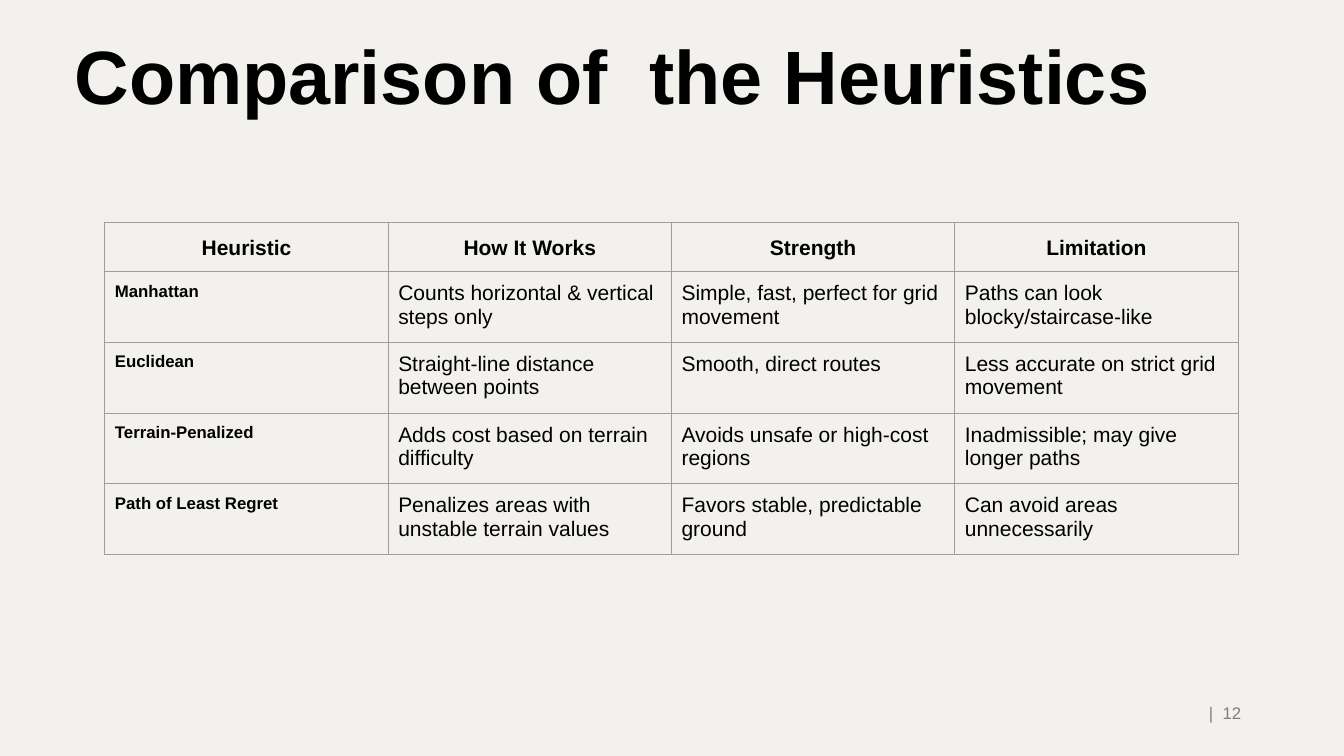
from dataclasses import dataclass

from lxml import etree
from pptx import Presentation
from pptx import util as u
from pptx.dml.color import RGBColor
from pptx.enum import text
from pptx.oxml.ns import qn


@dataclass(frozen=True)
class Theme:
    font: str = "Arial"
    background: str = "F2F1EE"
    ink: str = "000000"
    muted: str = "7F7F7F"
    border: str = "9E9E9E"
    title_size: int = 54
    body_size: int = 15
    small_size: int = 12
    border_width: float = 0.75


theme = Theme()


def write(frame, words, size, color=theme.ink, bold=False,
          align=text.PP_ALIGN.LEFT, spacing=1.0):
    frame.text = words
    paragraph = frame.paragraphs[0]
    paragraph.alignment = align
    paragraph.line_spacing = spacing
    font = paragraph.runs[0].font
    font.name, font.size, font.bold = theme.font, u.Pt(size), bold
    font.color.rgb = RGBColor.from_string(color)


def add_borders(cell):
    properties = cell._tc.get_or_add_tcPr()
    for position, side in enumerate(("a:lnL", "a:lnR", "a:lnT", "a:lnB")):
        line = etree.Element(qn(side), w=str(u.Pt(theme.border_width)))
        fill = etree.SubElement(line, qn("a:solidFill"))
        etree.SubElement(fill, qn("a:srgbClr"), val=theme.border)
        properties.insert(position, line)


# Slide and background
presentation = Presentation()
presentation.slide_width = u.Inches(13.33)
presentation.slide_height = u.Inches(7.5)
slide = presentation.slides.add_slide(presentation.slide_layouts[6])
slide.background.fill.solid()
slide.background.fill.fore_color.rgb = RGBColor.from_string(theme.background)

# Title
title = slide.shapes.add_textbox(
    u.Inches(0.64), u.Inches(-0.2), u.Inches(11.5), u.Inches(1.45))
title.text_frame.word_wrap = True
title.text_frame.vertical_anchor = text.MSO_ANCHOR.BOTTOM
write(title.text_frame, "Comparison of  the Heuristics", theme.title_size,
      bold=True, spacing=0.9)

# Page number
page_number = slide.shapes.add_textbox(
    u.Inches(11.81), u.Inches(6.87), u.Inches(0.6), u.Inches(0.41))
page_number.text_frame.word_wrap = True
page_number.text_frame.vertical_anchor = text.MSO_ANCHOR.MIDDLE
write(page_number.text_frame, "|  12", theme.small_size, theme.muted,
      align=text.PP_ALIGN.RIGHT)

# Comparison table
rows = [
    ("Heuristic", "How It Works", "Strength", "Limitation"),
    ("Manhattan", "Counts horizontal & vertical steps only",
     "Simple, fast, perfect for grid movement",
     "Paths can look blocky/staircase-like"),
    ("Euclidean", "Straight-line distance between points",
     "Smooth, direct routes", "Less accurate on strict grid movement"),
    ("Terrain-Penalized", "Adds cost based on terrain difficulty",
     "Avoids unsafe or high-cost regions",
     "Inadmissible; may give longer paths"),
    ("Path of Least Regret", "Penalizes areas with unstable terrain values",
     "Favors stable, predictable ground", "Can avoid areas unnecessarily"),
]
column_width, row_height = 2.81, 0.42
table = slide.shapes.add_table(
    len(rows), len(rows[0]), u.Inches(1.04), u.Inches(2.21),
    u.Inches(column_width * len(rows[0])),
    u.Inches(row_height * len(rows))).table
table.first_row = False
table.horz_banding = False

for row_index, row in enumerate(rows):
    for column_index, words in enumerate(row):
        cell = table.cell(row_index, column_index)
        cell.fill.background()
        cell.margin_left = cell.margin_right = u.Inches(0.1)
        cell.margin_top = cell.margin_bottom = u.Inches(0.1)
        add_borders(cell)
        if row_index == 0:
            write(cell.text_frame, words, theme.body_size, bold=True,
                  align=text.PP_ALIGN.CENTER, spacing=1.15)
        elif column_index == 0:
            write(cell.text_frame, words, theme.small_size, bold=True)
        else:
            write(cell.text_frame, words, theme.body_size)

presentation.save("out.pptx")
